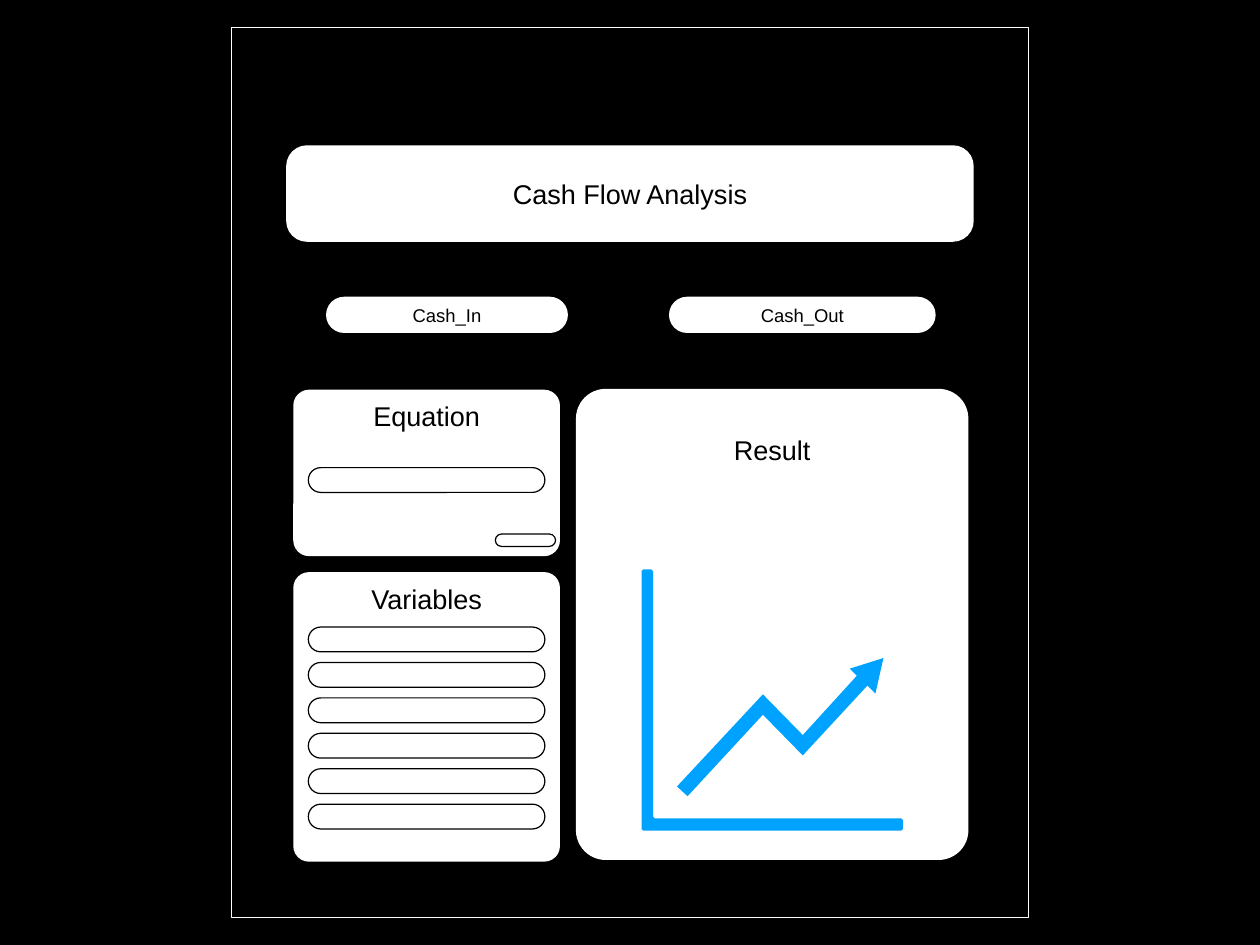
from dataclasses import dataclass

from pptx import Presentation
from pptx.dml.color import RGBColor
from pptx.enum.shapes import MSO_SHAPE
from pptx.enum.text import MSO_ANCHOR, MSO_AUTO_SIZE, PP_ALIGN
from pptx.util import Inches, Pt

RECTANGLE = MSO_SHAPE.RECTANGLE
ROUNDED = MSO_SHAPE.ROUNDED_RECTANGLE
TOP = MSO_ANCHOR.TOP
MIDDLE = MSO_ANCHOR.MIDDLE
CENTER = PP_ALIGN.CENTER
NO_AUTOFIT = MSO_AUTO_SIZE.NONE
TITLE_ONLY = 5


@dataclass(frozen=True)
class Theme:
    dark: RGBColor = RGBColor(0x00, 0x00, 0x00)
    light: RGBColor = RGBColor(0xFF, 0xFF, 0xFF)
    accent: RGBColor = RGBColor(0x00, 0xA2, 0xFF)
    font: str = "Arial"
    heading: int = 22
    label: int = 15
    stroke: int = 1
    inset: float = 0.06


class Wireframe:
    def __init__(self, page, theme):
        self.page = page
        self.theme = theme
        page.background.fill.solid()
        page.background.fill.fore_color.rgb = theme.dark

    def paint(self, shape, fill=None, line=None):
        shape.shadow.inherit = False
        if fill is None:
            shape.fill.background()
        else:
            shape.fill.solid()
            shape.fill.fore_color.rgb = fill
        if line is None:
            shape.line.fill.background()
        else:
            shape.line.color.rgb = line
            shape.line.width = Pt(self.theme.stroke)

    def caption(self, shape, text, size, anchor, top_inset=None):
        frame = shape.text_frame
        frame.word_wrap = True
        frame.auto_size = NO_AUTOFIT
        frame.vertical_anchor = anchor
        inset = Inches(self.theme.inset)
        frame.margin_left = frame.margin_right = frame.margin_bottom = inset
        frame.margin_top = inset if top_inset is None else Inches(top_inset)
        para = frame.paragraphs[0]
        para.alignment = CENTER
        span = para.add_run()
        span.text = text
        span.font.name = self.theme.font
        span.font.size = Pt(size)
        span.font.color.rgb = self.theme.dark

    def border(self, *bounds):
        box = self.page.shapes.add_shape(RECTANGLE, *map(Inches, bounds))
        self.paint(box, line=self.theme.light)

    def card(self, bounds, radius, line=None):
        box = self.page.shapes.add_shape(ROUNDED, *map(Inches, bounds))
        box.adjustments[0] = radius
        self.paint(box, self.theme.light, line)
        return box

    def title(self, text, bounds, radius):
        banner = self.card(bounds, radius)
        title = self.page.shapes.title
        title.left, title.top, title.width, title.height = map(Inches, bounds)
        banner.element.addnext(title.element)
        self.caption(title, text, self.theme.heading, MIDDLE)

    def button(self, text, *bounds):
        self.caption(self.card(bounds, 0.5), text, self.theme.label, MIDDLE)

    def panel(self, text, bounds, radius, top_inset=None):
        box = self.card(bounds, radius)
        self.caption(box, text, self.theme.heading, TOP, top_inset)

    def field(self, *bounds):
        self.card(bounds, 0.5, self.theme.dark)

    def icon(self, outlines):
        contours = [[(Inches(x), Inches(y)) for x, y in outline] for outline in outlines]
        builder = self.page.shapes.build_freeform(*contours[0][0], scale=1.0)
        for index, contour in enumerate(contours):
            if index:
                builder.move_to(*contour[0])
            builder.add_line_segments(contour[1:], close=True)
        self.paint(builder.convert_to_shape(), self.theme.accent)


AXES = [
    (7.26, 6.43), (7.24, 6.45), (7.24, 9.36), (7.26, 9.38),
    (10.17, 9.38), (10.19, 9.36), (10.19, 9.26), (10.17, 9.24),
    (7.39, 9.24), (7.37, 9.22), (7.37, 6.45), (7.35, 6.43),
]
TREND_ARROW = [
    (9.97, 7.43), (9.59, 7.55), (9.67, 7.63), (9.06, 8.3), (8.61, 7.84),
    (7.64, 8.88), (7.76, 8.99), (8.61, 8.07), (9.06, 8.53), (9.79, 7.74),
    (9.88, 7.83),
]
FIELD_LEFT, FIELD_WIDTH, FIELD_HEIGHT = 3.48, 2.67, 0.28
FIRST_VARIABLE, VARIABLE_STEP, VARIABLE_COUNT = 7.08, 0.4, 6


def main():
    deck = Presentation()
    deck.slide_width = Inches(14.22)
    deck.slide_height = Inches(10.67)
    page = deck.slides.add_slide(deck.slide_layouts[TITLE_ONLY])
    wireframe = Wireframe(page, Theme())

    wireframe.border(2.61, 0.31, 9, 10.05)
    wireframe.title("Cash Flow Analysis", (3.23, 1.64, 7.76, 1.09), 0.216)
    wireframe.button("Cash_In", 3.68, 3.35, 2.73, 0.41)
    wireframe.button("Cash_Out", 7.55, 3.35, 3.01, 0.41)
    wireframe.panel("Result", (6.5, 4.39, 4.43, 5.32), 0.076, top_inset=0.41)
    wireframe.panel("Equation", (3.31, 4.4, 3.01, 1.88), 0.095)
    wireframe.panel("Variables", (3.31, 6.46, 3.01, 3.27), 0.059)
    wireframe.icon([AXES, TREND_ARROW])

    variable_tops = [FIRST_VARIABLE + VARIABLE_STEP * row for row in range(VARIABLE_COUNT)]
    for top in [*variable_tops, 5.28]:
        wireframe.field(FIELD_LEFT, top, FIELD_WIDTH, FIELD_HEIGHT)
    wireframe.field(5.59, 6.03, 0.68, 0.14)

    deck.save("out.pptx")


if __name__ == "__main__":
    main()
